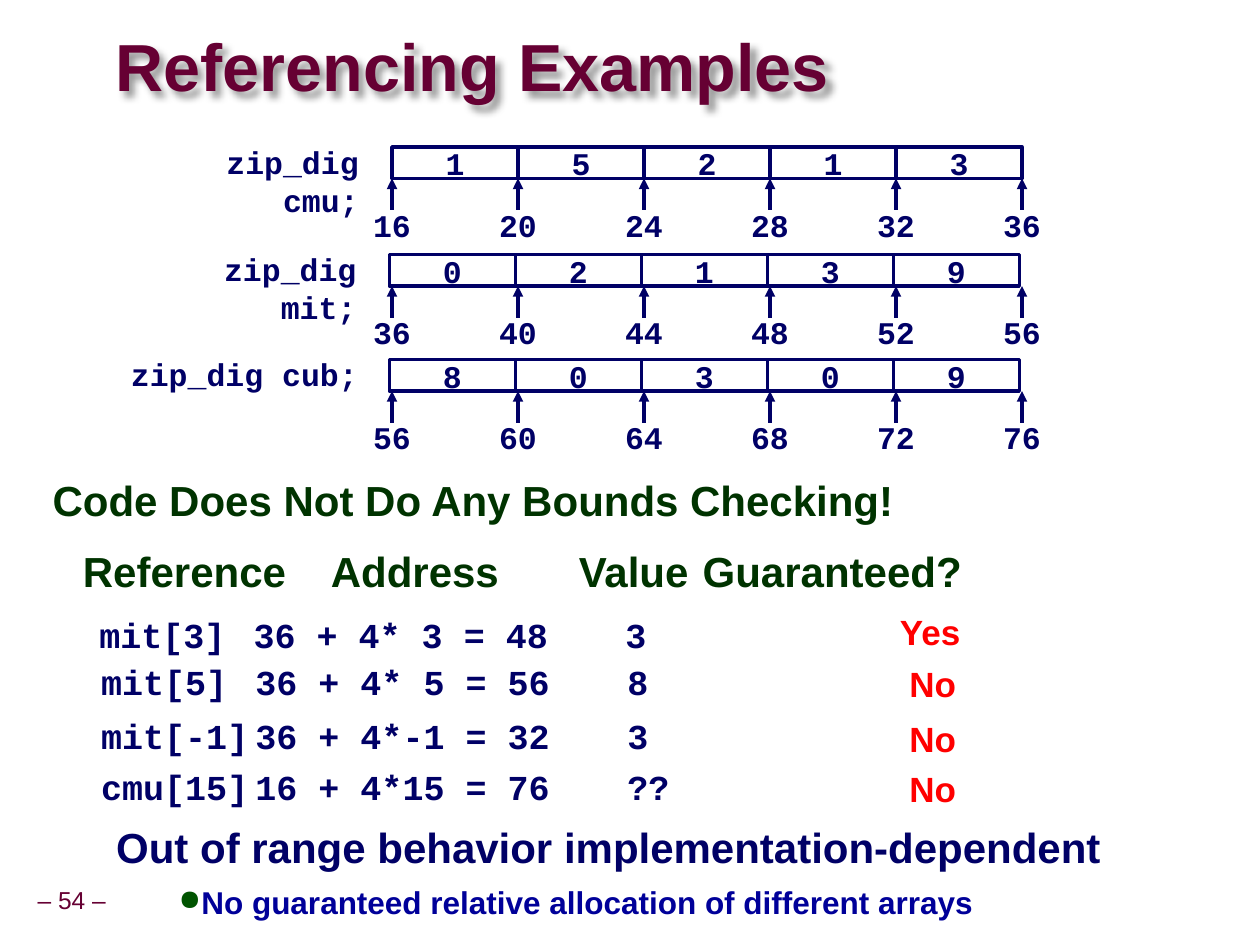
from pptx import Presentation
from pptx import util as u
from pptx.dml.color import RGBColor
from pptx.enum import shapes, text
from pptx.oxml import parse_xml
from pptx.oxml.ns import nsdecls

Pt = u.Pt
MAROON = RGBColor(0x66, 0x00, 0x33)
GREEN = RGBColor(0x00, 0x33, 0x00)
NAVY = RGBColor(0x00, 0x00, 0x66)
BLUE = RGBColor(0x00, 0x00, 0x99)
RED = RGBColor(0xFF, 0x00, 0x00)
WHITE = RGBColor(0xFF, 0xFF, 0xFF)
SANS, MONO = "Arial", "Courier New"
LEFT, CENTER, RIGHT = text.PP_ALIGN.LEFT, text.PP_ALIGN.CENTER, text.PP_ALIGN.RIGHT
TOP, MIDDLE = text.MSO_ANCHOR.TOP, text.MSO_ANCHOR.MIDDLE
TAB = 0.984 * 72  # distance between tab stops

CELL_W, CELL_H, TICK_X = 72, 18, 224


def write(p, words, size=18, font=MONO, color=NAVY, bold=True, align=LEFT,
          spacing=1.0, before=0, level=0, margin=0, indent=0, bullet=None):
    """Fill one paragraph with formatted text."""
    pPr = p._p.get_or_add_pPr()
    pPr.set("marL", str(Pt(margin)))
    pPr.set("indent", str(Pt(indent)))
    pPr.set("defTabSz", str(Pt(TAB)))
    if bullet:
        for xml in (f'<a:buClr {nsdecls("a")}><a:srgbClr val="005400"/></a:buClr>',
                    f'<a:buSzPct {nsdecls("a")} val="90000"/>',
                    f'<a:buChar {nsdecls("a")} char="{bullet}"/>'):
            pPr.append(parse_xml(xml))
    p.level, p.alignment = level, align
    p.line_spacing, p.space_before = spacing, Pt(before)
    r = p.add_run()
    r.text = words
    r.font.name, r.font.size, r.font.bold = font, Pt(size), bold
    r.font.color.rgb = color


class SlideBuilder:
    def __init__(self, s, line_color=NAVY, line_width=2):
        self.s = s
        self.line_color = line_color
        self.line_width = Pt(line_width)

    def style_line(self, line):
        line.color.rgb = self.line_color
        line.width = self.line_width

    def textbox(self, x, y, w, h, paragraphs, wrap=True, anchor=TOP, inset=(7.2, 3.6)):
        sp = self.s.shapes.add_textbox(Pt(x), Pt(y), Pt(w), Pt(h))
        tf = sp.text_frame
        tf.word_wrap, tf.vertical_anchor = wrap, anchor
        tf.margin_left = tf.margin_right = Pt(inset[0])
        tf.margin_top = tf.margin_bottom = Pt(inset[1])
        for i, (words, fmt) in enumerate(paragraphs):
            p = tf.add_paragraph() if i else tf.paragraphs[0]
            write(p, words, **fmt)
        return sp

    def cell(self, x, y, value):
        sp = self.s.shapes.add_shape(shapes.MSO_SHAPE.RECTANGLE,
                                     Pt(x), Pt(y), Pt(CELL_W), Pt(CELL_H))
        sp.shadow.inherit = False
        sp.fill.solid()
        sp.fill.fore_color.rgb = WHITE
        self.style_line(sp.line)
        tf = sp.text_frame
        tf.word_wrap, tf.vertical_anchor = False, MIDDLE
        write(tf.paragraphs[0], value, align=CENTER)

    def arrow(self, x1, y1, x2, y2):
        c = self.s.shapes.add_connector(shapes.MSO_CONNECTOR.STRAIGHT,
                                        Pt(x1), Pt(y1), Pt(x2), Pt(y2))
        self.style_line(c.line)
        c.line._get_or_add_ln().append(
            parse_xml(f'<a:tailEnd {nsdecls("a")} type="triangle"/>'))
        c._element.spPr.append(parse_xml(f'<a:effectLst {nsdecls("a")}/>'))

    def array(self, name, digits, start, x, y, name_x, name_w):
        """Draw a named row of cells with an address under each boundary."""
        self.textbox(name_x, y - 6, name_w, 29, [(name, dict(align=RIGHT))])
        for i, digit in enumerate(digits):
            self.cell(x + i * CELL_W, y, digit)
        for i in range(len(digits) + 1):
            tick = TICK_X + i * CELL_W
            self.arrow(tick, y + 2 * CELL_H, tick, y + CELL_H)
            self.textbox(tick - 18, y + 30, 36, 29,
                         [(str(start + 4 * i), dict(align=CENTER))], wrap=False)

    def title(self, words):
        sp = self.textbox(66, 18, 492, 45,
                          [(words, dict(size=38, font=SANS, color=MAROON, spacing=0.87))],
                          anchor=MIDDLE, inset=(0, 0))
        sp._element.spPr.append(parse_xml(
            f'<a:effectLst {nsdecls("a")}><a:outerShdw blurRad="50800" dist="53900" '
            'dir="2700000"><a:srgbClr val="000000"><a:alpha val="40000"/></a:srgbClr>'
            '</a:outerShdw></a:effectLst>'))


def main():
    prs = Presentation()
    prs.slide_width, prs.slide_height = Pt(720), Pt(540)
    b = SlideBuilder(prs.slides.add_slide(prs.slide_layouts[6]))

    # Title and page number
    b.title("Referencing Examples")
    b.textbox(17.3, 504, 47.5, 22,
              [("– 54 –", dict(size=14, font=SANS, color=MAROON, bold=False,
                               align=CENTER, spacing=0.9))],
              wrap=False, anchor=MIDDLE, inset=(3.6, 3.6))

    # Array diagrams
    b.array("zip_dig cmu;", "15213", 16, 224, 84, 69, 143)
    b.array("zip_dig mit;", "02139", 36, 222.5, 145.5, 67.7, 143)
    b.array("zip_dig cub;", "80309", 56, 222.5, 205.5, 66, 145.5)

    # Heading, column names and first reference
    heading = dict(size=24, font=SANS, color=GREEN, spacing=0.95, margin=17.3, indent=-17.3)
    row = dict(size=20, level=1, margin=44, indent=-17.3)
    b.textbox(23, 270, 654.5, 102, [
        ("Code Does Not Do Any Bounds Checking!", heading),
        ("\tReference\tAddress\tValue\tGuaranteed?", dict(heading, before=13.2)),
        ("mit[3]\t36 + 4* 3 = 48\t3", dict(row, before=9)),
    ])

    # Other references, each level with its answer
    answer = dict(size=20, font=SANS, color=RED, align=CENTER, spacing=0.9)
    b.textbox(510, 348, 43, 29, [("Yes", answer)], wrap=False, inset=(3.6, 3.6))
    for y, words in ((378, "mit[5]\t36 + 4* 5 = 56\t8"),
                     (409, "mit[-1]\t36 + 4*-1 = 32\t3"),
                     (438, "cmu[15]\t16 + 4*15 = 76\t??")):
        b.textbox(24, y - 1.3, 654.5, 28, [(words, dict(row, spacing=0.9))])
        b.textbox(516, y, 34, 29, [("No", answer)], wrap=False, inset=(3.6, 3.6))

    # Conclusion
    b.textbox(42, 468, 654.5, 64, [
        ("\tOut of range behavior implementation-dependent", dict(heading, color=NAVY)),
        ("No guaranteed relative allocation of different arrays",
         dict(font=SANS, color=BLUE, spacing=1.07, before=4, level=2,
              margin=66, indent=-13, bullet="●")),
    ])

    prs.save("out.pptx")


if __name__ == "__main__":
    main()
